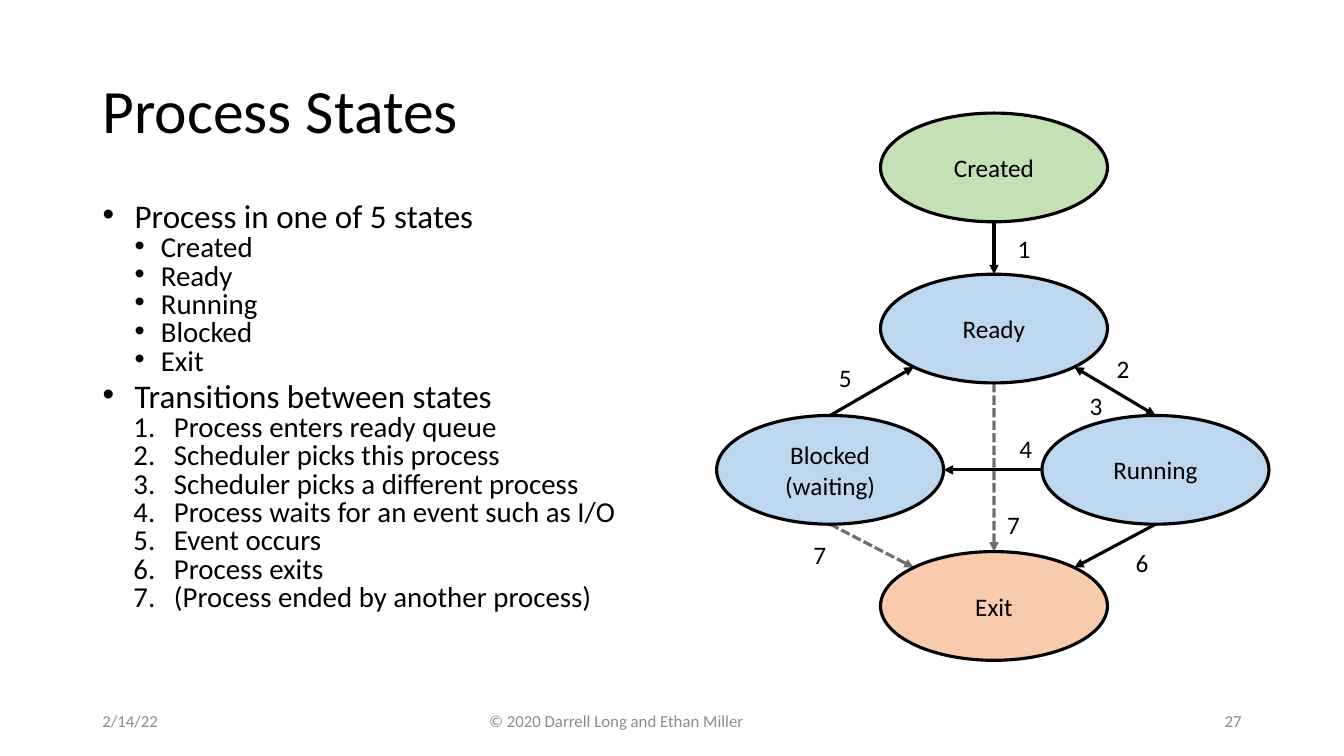
"""Builds the slide about process states and their transitions."""
from dataclasses import dataclass
from math import sqrt

from lxml.etree import SubElement
from pptx import Presentation
from pptx.dml.color import RGBColor
from pptx.enum.dml import MSO_LINE
from pptx.enum.shapes import MSO_CONNECTOR, MSO_SHAPE
from pptx.enum.text import MSO_ANCHOR, MSO_AUTO_SIZE, PP_ALIGN
from pptx.oxml.ns import qn
from pptx.util import Cm, Pt


@dataclass(frozen=True)
class Theme:
    font: str = "Calibri"
    ink: str = "000000"
    muted: str = "8B8B8B"
    created: str = "C5E0B4"
    active: str = "BDD7EE"
    ended: str = "F8CBAD"
    title: float = 44
    topic: float = 23.6
    detail: float = 20.6
    label: float = 18
    footer: float = 12
    stroke: float = 2.25


class ProcessPage:
    STATE_WIDTH, STATE_HEIGHT = 5.72, 2.74
    LABEL_WIDTH, LABEL_HEIGHT = 1.52, 1.02

    def __init__(self, deck, theme):
        self.theme = theme
        self.page = deck.slides.add_slide(deck.slide_layouts[1])

    def style(self, paragraph, size, color, align=PP_ALIGN.LEFT):
        paragraph.alignment = align
        for span in paragraph.runs:
            span.font.name = self.theme.font
            span.font.size = Pt(size)
            span.font.color.rgb = RGBColor.from_string(color)

    def place(self, box, left, top, width, height):
        box.left, box.top, box.width, box.height = map(Cm, (left, top, width, height))

    def title(self, text, *bounds):
        box = self.page.shapes.title
        self.place(box, *bounds)
        frame = box.text_frame
        frame.text = text
        frame.vertical_anchor = MSO_ANCHOR.MIDDLE
        frame.auto_size = MSO_AUTO_SIZE.NONE
        frame.paragraphs[0].line_spacing = 0.9
        self.style(frame.paragraphs[0], self.theme.title, self.theme.ink)

    def bullet(self, paragraph, margin, hanging, numbered):
        properties = paragraph._p.get_or_add_pPr()
        properties.set("marL", str(Cm(margin)))
        properties.set("indent", str(-Cm(hanging)))
        SubElement(properties, qn("a:buFont"), typeface="+mj-lt" if numbered else "Arial")
        if numbered:
            SubElement(properties, qn("a:buAutoNum"), type="arabicPeriod")
        else:
            SubElement(properties, qn("a:buChar"), char="•")

    def outline(self, topics, *bounds):
        box = self.page.placeholders[1]
        self.place(box, *bounds)
        frame = box.text_frame
        frame.auto_size = MSO_AUTO_SIZE.NONE
        entries = []
        for topic, numbered, details in topics:
            entries.append((topic, 0, False))
            entries.extend((detail, 1, numbered) for detail in details)
        frame.text = "\n".join(text for text, _, _ in entries)
        for position, (paragraph, entry) in enumerate(zip(frame.paragraphs, entries)):
            _, level, numbered = entry
            paragraph.level = level
            margin, hanging = (1.8, 1.02) if numbered else ((0.81, 0.81), (1.47, 0.66))[level]
            self.bullet(paragraph, margin, hanging, numbered)
            paragraph.line_spacing = 0.7
            paragraph.space_before = Pt((7, 3)[level] if position else 0)
            self.style(paragraph, (self.theme.topic, self.theme.detail)[level], self.theme.ink)

    def text(self, text, bounds, size, color, align):
        box = self.page.shapes.add_textbox(*map(Cm, bounds))
        frame = box.text_frame
        frame.word_wrap = True
        frame.vertical_anchor = MSO_ANCHOR.MIDDLE
        frame.text = text
        self.style(frame.paragraphs[0], size, color, align)

    def footer(self, text, left, width, align):
        self.text(text, (left, 17.65, width, 1.02), self.theme.footer, self.theme.muted, align)

    def label(self, text, left, top):
        bounds = (left, top, self.LABEL_WIDTH, self.LABEL_HEIGHT)
        self.text(text, bounds, self.theme.label, self.theme.ink, PP_ALIGN.CENTER)

    def state(self, name, center, color):
        left, top = center[0] - self.STATE_WIDTH / 2, center[1] - self.STATE_HEIGHT / 2
        oval = self.page.shapes.add_shape(
            MSO_SHAPE.OVAL, Cm(left), Cm(top), Cm(self.STATE_WIDTH), Cm(self.STATE_HEIGHT))
        oval.shadow.inherit = False
        oval.fill.solid()
        oval.fill.fore_color.rgb = RGBColor.from_string(color)
        oval.line.color.rgb = RGBColor.from_string(self.theme.ink)
        oval.line.width = Pt(self.theme.stroke)
        oval.text_frame.word_wrap = True
        oval.text_frame.vertical_anchor = MSO_ANCHOR.MIDDLE
        oval.text_frame.text = name
        self.style(oval.text_frame.paragraphs[0], self.theme.label, self.theme.ink,
                   PP_ALIGN.CENTER)

    def rim(self, center, across, down):
        """Returns the point on a state's rim in a direction of -1, 0 or 1 per axis."""
        reach = 1 / sqrt(across ** 2 + down ** 2)
        return (Cm(center[0] + across * reach * self.STATE_WIDTH / 2),
                Cm(center[1] + down * reach * self.STATE_HEIGHT / 2))

    def arrow(self, start, end, dashed=False, both=False):
        arrow = self.page.shapes.add_connector(
            MSO_CONNECTOR.STRAIGHT, *self.rim(*start), *self.rim(*end))
        arrow.line.color.rgb = RGBColor.from_string(self.theme.ink)
        arrow.line.width = Pt(self.theme.stroke)
        line = arrow.line._get_or_add_ln()
        if dashed:
            arrow.line.dash_style = MSO_LINE.SQUARE_DOT
            SubElement(line.find(".//" + qn("a:srgbClr")), qn("a:alpha"), val="56000")
        if both:
            SubElement(line, qn("a:headEnd"), type="triangle")
        SubElement(line, qn("a:tailEnd"), type="triangle")
        SubElement(arrow._element.spPr, qn("a:effectLst"))


def main():
    deck = Presentation()
    deck.slide_width, deck.slide_height = Cm(33.87), Cm(19.05)
    theme = Theme()
    page = ProcessPage(deck, theme)
    page.title("Process States", 2.33, 1.01, 29.21, 3.68)
    page.outline([
        ("Process in one of 5 states", False,
         ["Created", "Ready", "Running", "Blocked", "Exit"]),
        ("Transitions between states", True,
         ["Process enters ready queue", "Scheduler picks this process",
          "Scheduler picks a different process", "Process waits for an event such as I/O",
          "Event occurs", "Process exits", "(Process ended by another process)"]),
    ], 2.33, 5.07, 14.4, 12.09)

    created, ready, ended = ((25.05, middle) for middle in (4.22, 8.28, 15.27))
    blocked, running = ((across, 11.84) for across in (20.92, 29.12))
    for name, center, color in (
            ("Ready", ready, theme.active), ("Blocked (waiting)", blocked, theme.active),
            ("Running", running, theme.active), ("Created", created, theme.created),
            ("Exit", ended, theme.ended)):
        page.state(name, center, color)

    page.arrow((created, 0, 1), (ready, 0, -1))
    page.arrow((ready, 1, 1), (running, 0, -1), both=True)
    page.arrow((running, -1, 0), (blocked, 1, 0))
    page.arrow((blocked, 0, -1), (ready, -1, 1))
    page.arrow((running, 0, 1), (ended, 1, -1))
    page.arrow((ready, 0, 1), (ended, 0, -1), dashed=True)
    page.arrow((blocked, 0, 1), (ended, -1, -1), dashed=True)

    for number, left, top in (
            ("1", 25.05, 5.75), ("2", 27.54, 8.77), ("3", 26.86, 9.7), ("4", 25.09, 10.8),
            ("5", 20.54, 9), ("6", 28.02, 13.67), ("7", 24.78, 12.7), ("7", 19.9, 13.46)):
        page.label(number, left, top)

    page.footer("2/14/22", 2.33, 4.83, PP_ALIGN.LEFT)
    page.footer("© 2020 Darrell Long and Ethan Miller", 8.41, 14.25, PP_ALIGN.CENTER)
    page.footer("27", 23.92, 7.62, PP_ALIGN.RIGHT)
    deck.save("out.pptx")


if __name__ == "__main__":
    main()
